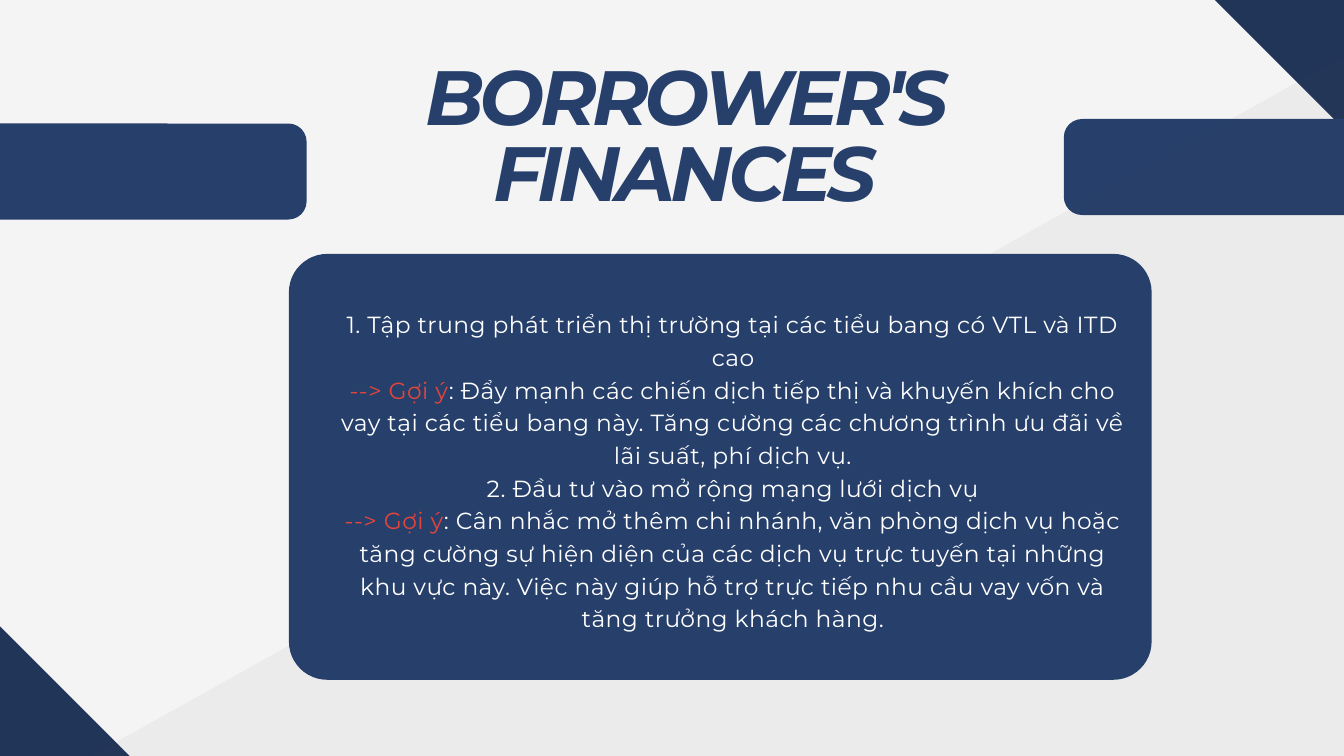
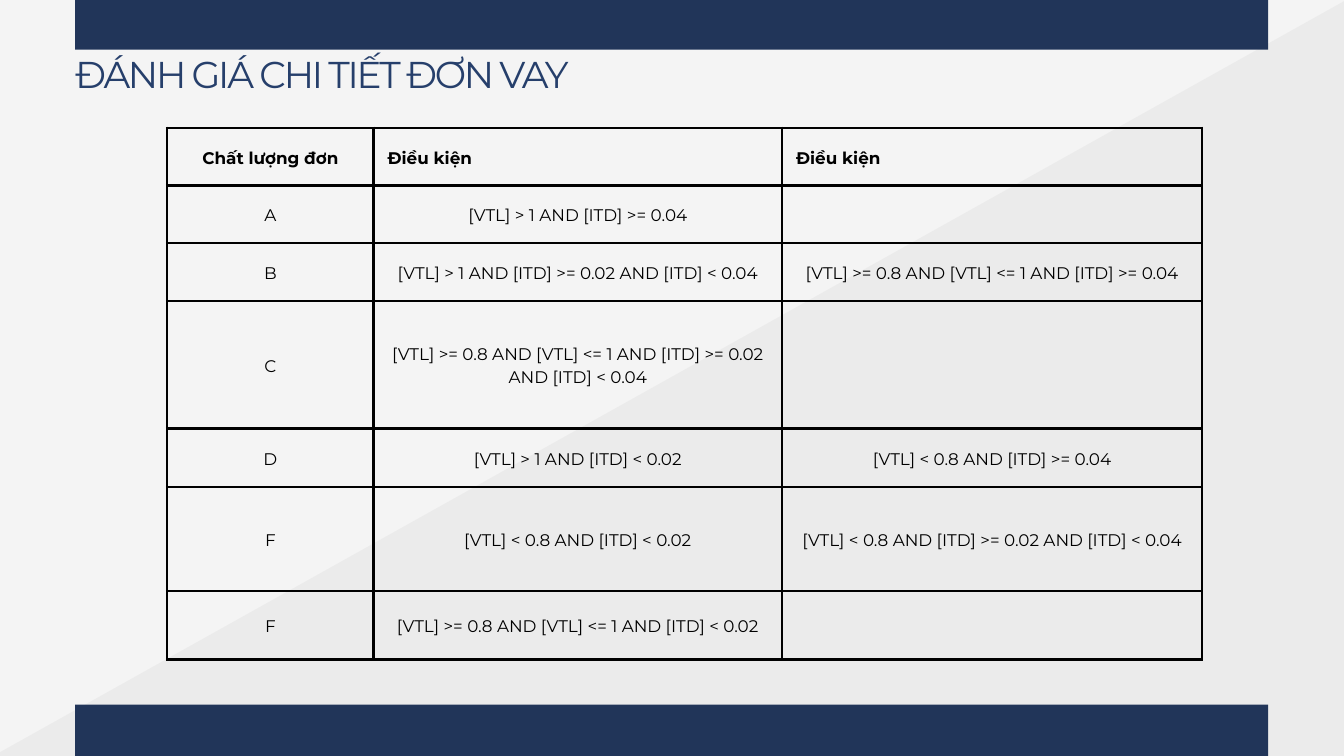
from lxml import etree
from pptx import Presentation
from pptx.dml.color import RGBColor
from pptx.enum.shapes import MSO_SHAPE
from pptx.enum.text import MSO_ANCHOR, MSO_AUTO_SIZE, PP_ALIGN
from pptx.oxml.ns import qn
from pptx.util import Cm, Pt

RECTANGLE, ROUNDED = MSO_SHAPE.RECTANGLE, MSO_SHAPE.ROUNDED_RECTANGLE
LEFT, CENTER = PP_ALIGN.LEFT, PP_ALIGN.CENTER
TOP, MIDDLE = MSO_ANCHOR.TOP, MSO_ANCHOR.MIDDLE
NO_FIT = MSO_AUTO_SIZE.NONE

FONT = "Montserrat"
BACKGROUND = "F4F4F4"
NAVY = "263F6B"
DARK_NAVY = "213559"
VEIL = "545454"
RED = "E1453C"
WHITE = "FFFFFF"
BLACK = "000000"


def add_block(slide, kind, box, color, rotation=0, radius=None, opacity=None):
    """Add a borderless filled shape; radius is a share of the short side."""
    block = slide.shapes.add_shape(kind, *[Cm(length) for length in box])
    block.rotation = rotation
    block.shadow.inherit = False
    block.line.fill.background()
    block.fill.solid()
    block.fill.fore_color.rgb = RGBColor.from_string(color)
    if radius is not None:
        block.adjustments[0] = radius
    if opacity is not None:
        fill_color = block.element.xpath(".//a:solidFill/a:srgbClr")[0]
        etree.SubElement(fill_color, qn("a:alpha"), val=str(opacity * 1000))


def format_paragraph(paragraph, size, leading, color, align=CENTER, tracking=0,
                     bold=False, italic=False):
    paragraph.alignment = align
    paragraph.line_spacing = Pt(leading)
    paragraph.space_before = Pt(0)
    for run in paragraph.runs:
        run.font.name = FONT
        run.font.size = Pt(size)
        run.font.bold = bold
        run.font.italic = italic
        run.font.color.rgb = RGBColor.from_string(color)
        run.font._element.set("spc", str(round(tracking * 100)))


prs = Presentation()
prs.slide_width, prs.slide_height = Cm(50.8), Cm(28.58)
finances = prs.slides.add_slide(prs.slide_layouts[1])
rating = prs.slides.add_slide(prs.slide_layouts[5])

# Shared background and title style
for slide, title, box, style in (
    (finances, "BORROWER'S FINANCES", (14.53, 2.49, 22.71, 5.82),
     dict(size=82.4, leading=80.7, tracking=-4.8, bold=True, italic=True)),
    (rating, "ĐÁNH GIÁ CHI TIẾT ĐƠN VAY", (2.84, 2.26, 21.44, 1.45),
     dict(size=40, leading=39.2, tracking=-2.4, align=LEFT)),
):
    slide.background.fill.solid()
    slide.background.fill.fore_color.rgb = RGBColor.from_string(BACKGROUND)
    heading = slide.shapes.title
    heading.left, heading.top, heading.width, heading.height = map(Cm, box)
    frame = heading.text_frame
    frame.text = title
    frame.auto_size = NO_FIT
    frame.vertical_anchor = TOP
    frame.margin_left = frame.margin_right = 0
    frame.margin_top = frame.margin_bottom = 0
    format_paragraph(frame.paragraphs[0], color=NAVY, **style)

# Slide 1: recommendations
for left, top in ((-7.34, 25.12), (43.46, -3.45)):
    add_block(finances, RECTANGLE, (left, top, 14.7, 6.91), DARK_NAVY, rotation=45)
for left, top in ((-11.35, 4.67), (40.21, 4.5)):
    add_block(finances, ROUNDED, (left, top, 22.94, 3.63), NAVY, radius=0.19)
add_block(finances, RECTANGLE, (-2.16, 13.64, 71.63, 26.62), VEIL, 330.8, opacity=5)
add_block(finances, ROUNDED, (10.92, 9.6, 32.61, 16.1), NAVY, radius=0.09)

HINT = "--> Gợi ý"
recommendations = [
    ["1. Tập trung phát triển thị trường tại các tiểu bang có VTL và ITD cao"],
    [HINT, ": Đẩy mạnh các chiến dịch tiếp thị và khuyến khích cho vay tại các "
     "tiểu bang này. Tăng cường các chương trình ưu đãi về lãi suất, phí dịch vụ."],
    ["2. Đầu tư vào mở rộng mạng lưới dịch vụ"],
    [HINT, ": Cân nhắc mở thêm chi nhánh, văn phòng dịch vụ hoặc tăng cường sự "
     "hiện diện của các dịch vụ trực tuyến tại những khu vực này. Việc này giúp "
     "hỗ trợ trực tiếp nhu cầu vay vốn và tăng trưởng khách hàng."],
]
advice = finances.placeholders[1]
advice.left, advice.top, advice.width, advice.height = map(
    Cm, (12.73, 11.56, 29.95, 12.09))
finances.shapes.element.append(advice.element)  # bring in front of the card
frame = advice.text_frame
frame.auto_size = NO_FIT
frame.vertical_anchor = TOP
frame.margin_left = frame.margin_right = 0
frame.margin_top = frame.margin_bottom = 0
for index, parts in enumerate(recommendations):
    paragraph = frame.add_paragraph() if index else frame.paragraphs[0]
    properties = paragraph._p.get_or_add_pPr()
    properties.set("marL", "0")
    properties.set("indent", "0")
    etree.SubElement(properties, qn("a:buNone"))
    for part in parts:
        paragraph.add_run().text = part
    format_paragraph(paragraph, 25, 35, WHITE, tracking=0.5)
    if parts[0] == HINT:
        paragraph.runs[0].font.color.rgb = RGBColor.from_string(RED)

# Slide 2: loan rating table
add_block(rating, RECTANGLE, (-3.1, 12.09, 71.63, 26.62), VEIL, 330.8, opacity=5)
for top in (26.64, -1.88):
    add_block(rating, RECTANGLE, (2.84, top, 45.09, 3.76), DARK_NAVY)

criteria = [
    ("Chất lượng đơn", "Điều kiện", "Điều kiện"),
    ("A", "[VTL] > 1 AND [ITD] >= 0.04", ""),
    ("B", "[VTL] > 1 AND [ITD] >= 0.02 AND [ITD] < 0.04",
     "[VTL] >= 0.8 AND [VTL] <= 1 AND [ITD] >= 0.04"),
    ("C", "[VTL] >= 0.8 AND [VTL] <= 1 AND [ITD] >= 0.02 AND [ITD] < 0.04", ""),
    ("D", "[VTL] > 1 AND [ITD] < 0.02", "[VTL] < 0.8 AND [ITD] >= 0.04"),
    ("F", "[VTL] < 0.8 AND [ITD] < 0.02",
     "[VTL] < 0.8 AND [ITD] >= 0.02 AND [ITD] < 0.04"),
    ("F", "[VTL] >= 0.8 AND [VTL] <= 1 AND [ITD] < 0.02", ""),
]
column_widths = (7.8, 15.44, 15.88)
row_heights = (2.18, 2.18, 2.18, 4.83, 2.21, 3.94, 2.59)
grades = rating.shapes.add_table(
    len(criteria), len(column_widths), Cm(6.32), Cm(4.83),
    Cm(sum(column_widths)), Cm(sum(row_heights))).table
grades.first_row = grades.horz_banding = False
for column, width in zip(grades.columns, column_widths):
    column.width = Cm(width)
for row, height in zip(grades.rows, row_heights):
    row.height = Cm(height)

for r, texts in enumerate(criteria):
    for c, text in enumerate(texts):
        cell = grades.cell(r, c)
        cell.vertical_anchor = MIDDLE
        cell.margin_left = cell.margin_right = Cm(0.53)
        cell.margin_top = cell.margin_bottom = Cm(0.53)
        for side in ("a:lnL", "a:lnR", "a:lnT", "a:lnB"):
            border = etree.SubElement(cell._tc.get_or_add_tcPr(), qn(side),
                                      w=str(Pt(3)))
            solid = etree.SubElement(border, qn("a:solidFill"))
            etree.SubElement(solid, qn("a:srgbClr"), val=BLACK)
        cell.fill.background()
        if text:
            cell.text_frame.text = text
            format_paragraph(cell.text_frame.paragraphs[0], 18, 25.2, BLACK,
                             align=LEFT if r == 0 and c else CENTER, bold=r == 0)

prs.save("out.pptx")
